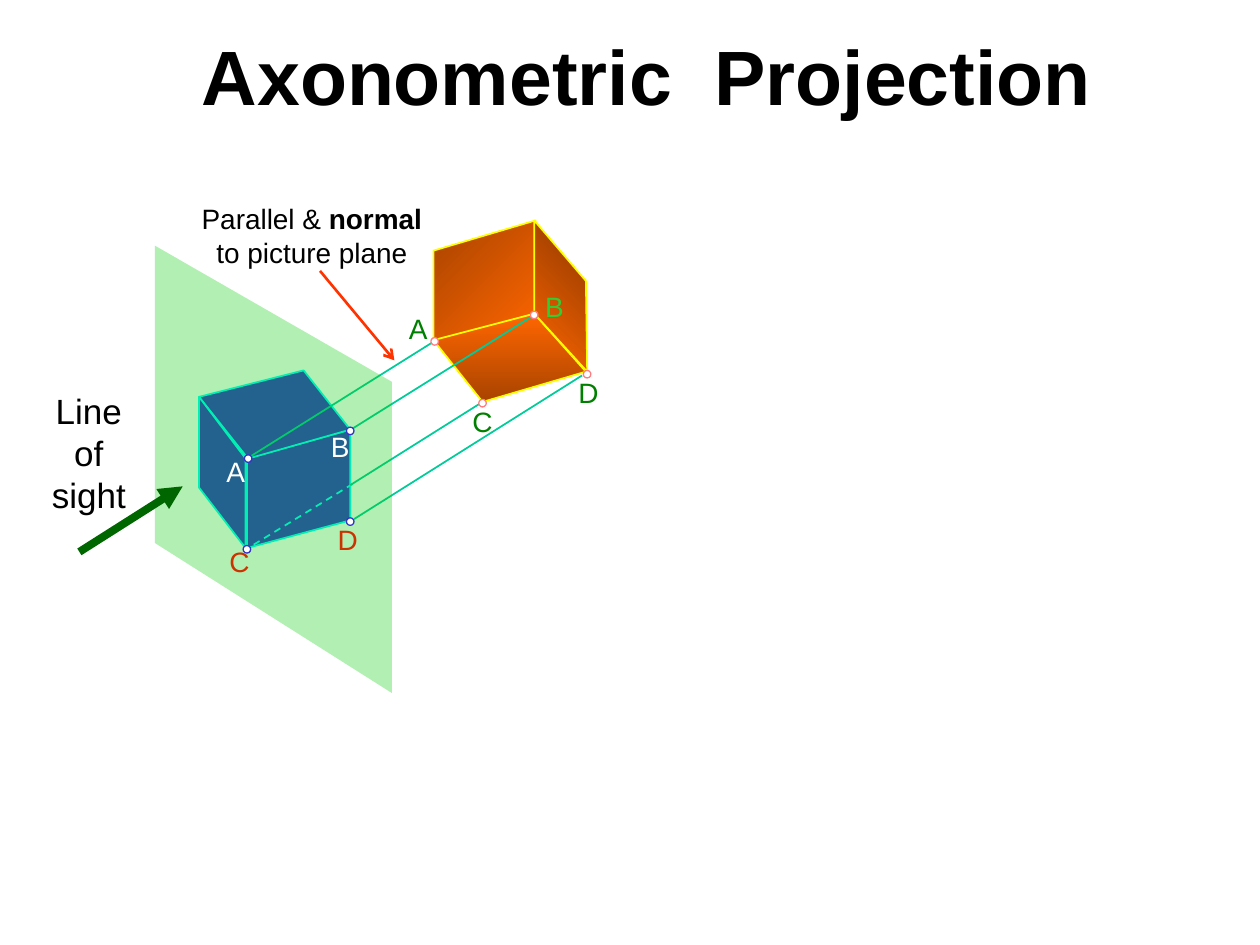
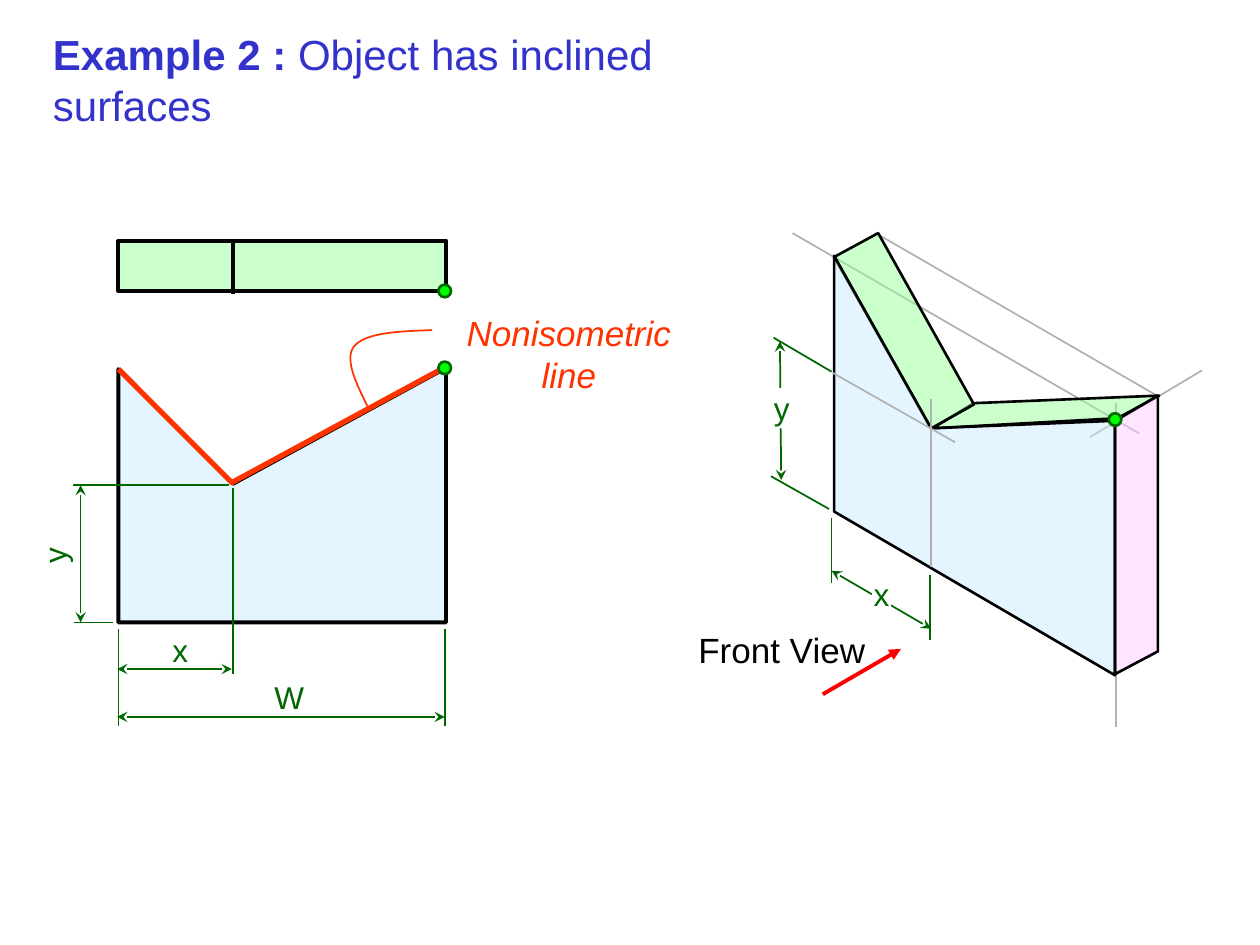
from lxml.etree import SubElement
from pptx import Presentation
from pptx.dml.color import RGBColor
from pptx.enum.dml import MSO_LINE
from pptx.enum.shapes import MSO_CONNECTOR, MSO_SHAPE
from pptx.enum.text import MSO_ANCHOR, MSO_AUTO_SIZE, PP_ALIGN
from pptx.oxml.ns import qn
from pptx.util import Inches, Pt

FONT = "Arial"
BLACK = RGBColor(0x00, 0x00, 0x00)
WHITE = RGBColor(0xFF, 0xFF, 0xFF)
INDIGO = RGBColor(0x33, 0x33, 0xCC)
ORANGE = RGBColor(0xFF, 0x66, 0x00)
RUST = RGBColor(0xA8, 0x43, 0x00)
BROWN = RGBColor(0x8E, 0x38, 0x00)
YELLOW = RGBColor(0xFF, 0xFF, 0x00)
CYAN = RGBColor(0x00, 0xFF, 0xFF)
TEAL = RGBColor(0x00, 0xCC, 0x99)
PLANE_GREEN = RGBColor(0x00, 0xCC, 0x00)
LABEL_GREEN = RGBColor(0x00, 0x80, 0x00)
LIGHT_GREEN = RGBColor(0x33, 0xCC, 0x33)
DARK_GREEN = RGBColor(0x00, 0x66, 0x00)
DOT_GREEN = RGBColor(0x00, 0xFF, 0x00)
PALE_GREEN = RGBColor(0x99, 0xFF, 0x99)
PALE_BLUE = RGBColor(0xCC, 0xEC, 0xFF)
PALE_PINK = RGBColor(0xFF, 0xCC, 0xFF)
PINK = RGBColor(0xFF, 0x7C, 0x80)
BRICK = RGBColor(0xCC, 0x33, 0x00)
VERMILION = RGBColor(0xFF, 0x33, 0x00)
RED = RGBColor(0xFF, 0x00, 0x00)
GREY = RGBColor(0xB2, 0xB2, 0xB2)


def write(shape, text, size=16, color=BLACK, bold="", italic=False,
          align=PP_ALIGN.CENTER, margin=None):
    """Fill a shape with lines of text; the part given as bold is set bold."""
    frame = shape.text_frame
    frame.word_wrap = False
    frame.auto_size = MSO_AUTO_SIZE.SHAPE_TO_FIT_TEXT
    frame.vertical_anchor = MSO_ANCHOR.TOP
    if margin is not None:
        frame.margin_left = frame.margin_right = Inches(margin)
        frame.margin_top = frame.margin_bottom = Inches(margin)
    for number, line in enumerate(text.split("\n")):
        paragraph = frame.add_paragraph() if number else frame.paragraphs[0]
        paragraph.alignment = align
        for part in line.partition(bold) if bold else (line,):
            if part:
                run = paragraph.add_run()
                run.text = part
                run.font.name, run.font.size = FONT, Pt(size)
                run.font.color.rgb = color
                run.font.bold, run.font.italic = part == bold, italic


def draw(slide, *points, preset=None, closed=True, fill=None, alpha=None,
         line=None, width=1, dash=None, head=None, tail=None):
    """Draw a preset between two corners, a line of two points or an outline."""
    corners = [(Inches(x), Inches(y)) for x, y in points]
    if preset is not None:
        (left, top), (right, bottom) = corners
        shape = slide.shapes.add_shape(preset, left, top, right - left, bottom - top)
    elif len(corners) == 2:
        shape = slide.shapes.add_connector(MSO_CONNECTOR.STRAIGHT, *corners[0], *corners[1])
    else:
        outline = slide.shapes.build_freeform(*corners[0], scale=1.0)
        outline.add_line_segments(corners[1:], close=closed)
        shape = outline.convert_to_shape()
    properties = shape._element.spPr

    if line is None:
        shape.line.fill.background()
    else:
        shape.line.color.rgb = line
        shape.line.width = Pt(width)
    if dash:
        shape.line.dash_style = dash
    for end, arrow in (("a:headEnd", head), ("a:tailEnd", tail)):
        if arrow:
            SubElement(properties.find(qn("a:ln")), qn(end), type=arrow)

    if preset is None and len(corners) == 2:
        SubElement(properties, qn("a:effectLst"))
        return shape
    shape.shadow.inherit = False
    if fill is None:
        shape.fill.background()
    else:
        shape.fill.solid()
        shape.fill.fore_color.rgb = fill
        if alpha:
            color = properties.find(qn("a:solidFill"))[0]
            SubElement(color, qn("a:alpha"), val=str(alpha * 1000))
    return shape


prs = Presentation()
prs.slide_width, prs.slide_height = Inches(10), Inches(7.5)

# Slides with their titles
slides = []
for text, bold, size, color, align, box in (
    ("Axonometric  Projection", "Axonometric  Projection", 44, BLACK,
     PP_ALIGN.CENTER, (1.5, 0.18, 7.27, 0.84)),
    ("Example 2 : Object has inclined surfaces", "Example 2 : ", 24, INDIGO,
     PP_ALIGN.LEFT, (0.32, 0.18, 6.31, 0.5)),
):
    slide = prs.slides.add_slide(prs.slide_layouts.get_by_name("Title Only"))
    title = slide.shapes.title
    title.left, title.top, title.width, title.height = map(Inches, box)
    write(title, text, size, color, bold, align=align)
    slides.append(slide)
projection, example = slides

# Projection: the object with shaded faces
for face, near, far, angle in (
    ([(3.44, 2.71), (3.44, 1.99), (4.25, 1.75), (4.25, 2.49)], ORANGE, RUST, 225),
    ([(3.44, 2.7), (3.83, 3.19), (4.65, 2.95), (4.24, 2.49)], ORANGE, RUST, 90),
    ([(4.66, 2.95), (4.24, 2.49), (4.24, 1.75), (4.65, 2.23)], BROWN, ORANGE, 135),
):
    shaded = draw(projection, *face, line=YELLOW)
    shaded.fill.gradient()
    shaded.fill.gradient_angle = 360 - angle
    for stop, color in zip(shaded.fill.gradient_stops, (near, far)):
        stop.color.rgb = color

# Projection: the image of the object and the hidden part of ray C
for face in (
    [(2.78, 4.13), (2.78, 3.41), (1.96, 3.64), (1.96, 4.35)],
    [(2.78, 3.41), (2.41, 2.94), (1.58, 3.15), (1.97, 3.64)],
    [(1.58, 3.15), (1.58, 3.87), (1.95, 4.35), (1.95, 3.64)],
):
    draw(projection, *face, fill=INDIGO, line=CYAN)
draw(projection, (2.8, 3.84), (1.97, 4.35), line=CYAN, dash=MSO_LINE.DASH)

# Projection: parallel rays
for ray in (
    [(4.62, 2.98), (2.81, 4.12)],
    [(3.83, 3.19), (2.78, 3.85)],
    [(4.24, 2.5), (2.8, 3.4)],
    [(3.46, 2.7), (1.96, 3.64)],
):
    draw(projection, *ray, line=TEAL)

# Projection: corner dots and letters, picture plane between object and image
object_corners = (
    ("A", LABEL_GREEN, (3.14, 2.42), (3.42, 2.68)),
    ("B", LIGHT_GREEN, (4.22, 2.25), (4.21, 2.47)),
    ("C", LABEL_GREEN, (3.65, 3.16), (3.8, 3.17)),
    ("D", LABEL_GREEN, (4.49, 2.93), (4.63, 2.94)),
)
image_corners = (
    ("A", WHITE, (1.69, 3.56), (1.94, 3.61)),
    ("B", WHITE, (2.52, 3.36), (2.75, 3.39)),
    ("C", BRICK, (1.72, 4.27), (1.93, 4.33)),
    ("D", BRICK, (2.58, 4.1), (2.75, 4.11)),
)
for corners, ring in ((object_corners, PINK), (image_corners, INDIGO)):
    if corners is image_corners:
        draw(projection, (1.23, 4.31), (1.23, 1.95), (3.11, 3.03), (3.11, 5.5),
             fill=PLANE_GREEN, alpha=30)
    for letter, color, (left, top), (x, y) in corners:
        draw(projection, (x, y), (x + 0.06, y + 0.06), preset=MSO_SHAPE.OVAL,
             fill=WHITE, line=ring, width=0.75)
        label = projection.shapes.add_textbox(
            Inches(left), Inches(top), Inches(0.36), Inches(0.37))
        write(label, letter, color=color)

# Projection: notes with arrows
for text, bold, size, box in (
    ("Parallel & normal\nto picture plane", "normal", 16, (1.5, 1.55, 1.95, 0.64)),
    ("Line\nof\nsight", "", 20, (0.31, 3.04, 0.79, 1.1)),
):
    write(projection.shapes.add_textbox(*map(Inches, box)), text, size, bold=bold)
draw(projection, (2.54, 2.15), (3.13, 2.86), line=VERMILION, width=1.5, tail="arrow")
draw(projection, (0.63, 4.38), (1.45, 3.86), line=DARK_GREEN, width=4.5, tail="triangle")

# Example: construction lines behind the solid
for construction in (
    [(9.04, 3.44), (6.29, 1.85)],
    [(8.65, 3.47), (9.54, 2.94)],
    [(8.86, 3.2), (8.86, 5.77)],
    [(6.95, 1.85), (9.2, 3.15)],
):
    draw(example, *construction, line=GREY)

# Example: front view and top view
draw(example, (3.54, 4.94), (0.94, 4.94), (0.94, 2.93), (1.85, 3.84), (3.54, 2.92),
     fill=PALE_BLUE, alpha=50, line=BLACK, width=2.25)
draw(example, (0.94, 1.91), (3.54, 2.31), preset=MSO_SHAPE.RECTANGLE,
     fill=PALE_GREEN, alpha=50, line=BLACK, width=2.25)
draw(example, (1.85, 2.33), (1.85, 1.91), line=BLACK, width=2.25)

# Example: isometric solid
for face, color in (
    ([(7.4, 3.4), (8.87, 3.32), (9.2, 3.14), (7.73, 3.2)], PALE_GREEN),
    ([(6.62, 2.04), (6.97, 1.85), (7.73, 3.21), (7.39, 3.4)], PALE_GREEN),
    ([(6.62, 2.03), (6.62, 4.06), (8.85, 5.36), (8.85, 3.34), (7.39, 3.4)], PALE_BLUE),
    ([(9.19, 5.17), (8.85, 5.35), (8.85, 3.34), (9.19, 3.14)], PALE_PINK),
):
    draw(example, *face, fill=color, alpha=50, line=BLACK, width=1.5)

# Example: construction lines that locate the notch
draw(example, (6.61, 2.96), (7.58, 3.51), line=GREY)
draw(example, (7.39, 3.17), (7.39, 4.5), line=GREY)

# Example: extension lines and dimension lines
for extension in (
    [(0.94, 4.99), (0.94, 5.76)],
    [(3.53, 4.99), (3.53, 5.76)],
    [(1.82, 3.85), (0.58, 3.85)],
    [(0.9, 4.94), (0.59, 4.94)],
    [(1.85, 3.87), (1.85, 5.35)],
    [(6.14, 2.68), (6.6, 2.95)],
    [(6.12, 3.78), (6.58, 4.04)],
    [(7.38, 4.56), (7.38, 5.08)],
    [(6.6, 4.11), (6.6, 4.63)],
):
    draw(example, *extension, line=DARK_GREEN)
for dimension in (
    [(0.93, 5.69), (3.53, 5.69)],
    [(0.64, 4.94), (0.64, 3.85)],
    [(1.84, 5.31), (0.93, 5.31)],
    [(6.19, 2.71), (6.2, 3.81)],
    [(7.39, 4.99), (6.6, 4.53)],
):
    draw(example, *dimension, line=DARK_GREEN, head="stealth", tail="stealth")

# Example: dimension letters, those of the solid on white
for letter, box, rotation in (
    ("W", (2.08, 5.33, 0.43, 0.4), 0),
    ("y", (0.27, 4.21, 0.32, 0.4), 270),
    ("x", (1.27, 4.96, 0.32, 0.4), 0),
):
    label = example.shapes.add_textbox(*map(Inches, box))
    label.rotation = rotation
    write(label, letter, 18, DARK_GREEN)
for letter, x, y in (("y", 6.13, 3.08), ("x", 6.92, 4.55)):
    patch = draw(example, (x, y), (x + 0.15, y + 0.32),
                 preset=MSO_SHAPE.RECTANGLE, fill=WHITE)
    write(patch, letter, 18, DARK_GREEN, margin=0.01)

# Example: viewing direction
draw(example, (6.53, 5.51), (7.15, 5.15), line=RED, width=2.25, tail="triangle")
direction = example.shapes.add_textbox(*map(Inches, (5.44, 4.94, 1.53, 0.44)))
write(direction, "Front View", 20)

# Example: nonisometric edges and the matching corner dots
draw(example, (0.94, 2.93), (1.84, 3.83), (3.54, 2.91), closed=False,
     line=VERMILION, width=3)
for x, y in ((8.8, 3.28), (3.48, 2.26), (3.48, 2.87)):
    draw(example, (x, y), (x + 0.1, y + 0.1), preset=MSO_SHAPE.OVAL,
         fill=DOT_GREEN, line=DARK_GREEN, width=1.5)

# Example: note with a curved leader, each three segments becoming one curve
note = example.shapes.add_textbox(*map(Inches, (3.35, 2.42, 2.33, 0.44)))
write(note, "Nonisometric line", 20, VERMILION, italic=True)
leader = draw(example, (2.93, 3.25), (2.83, 3.05), (2.73, 2.85), (2.81, 2.75),
              (2.9, 2.64), (3.16, 2.63), (3.43, 2.62), closed=False, line=VERMILION)
outline = next(leader._element.iter(qn("a:path")))
segments = outline.findall(qn("a:lnTo"))
for start in range(0, len(segments), 3):
    curve = SubElement(outline, qn("a:cubicBezTo"))
    for segment in segments[start:start + 3]:
        curve.append(segment[0])
        outline.remove(segment)

prs.save("out.pptx")
